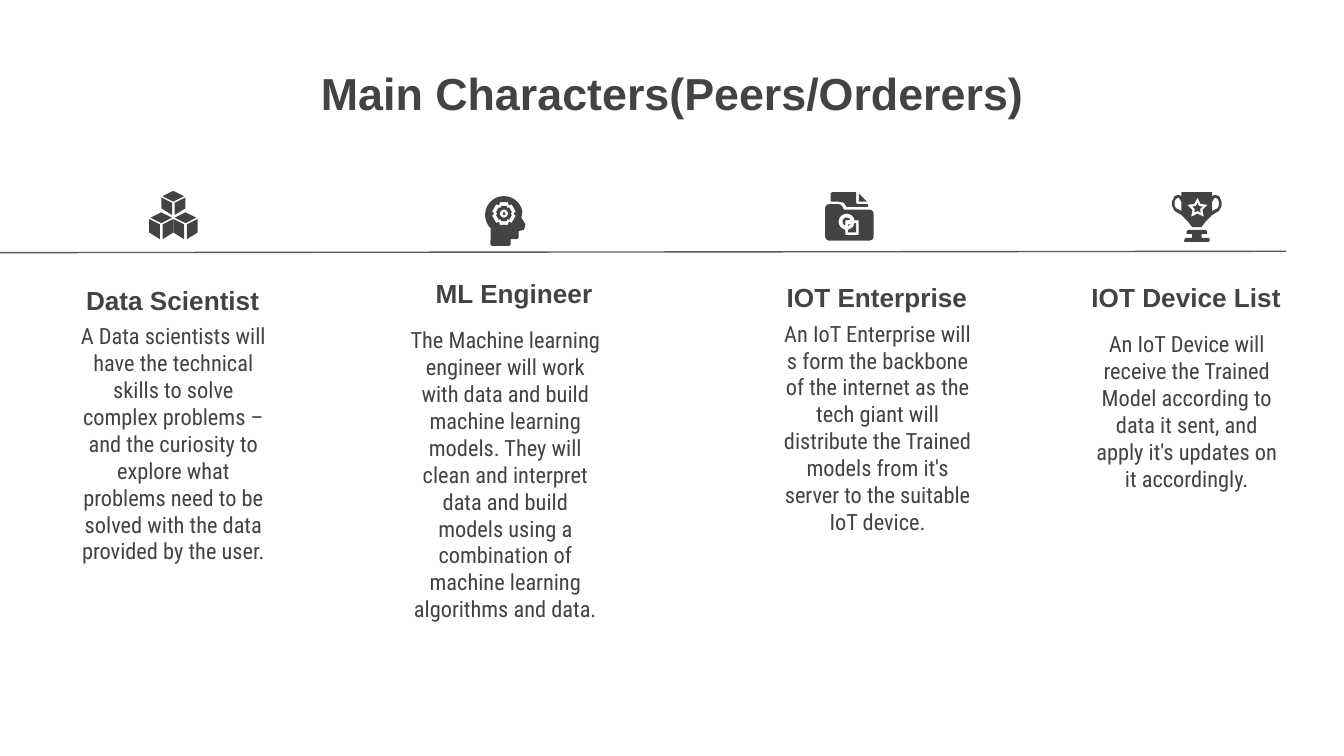
from math import cos, radians, sin

from pptx import Presentation
from pptx.dml.color import RGBColor
from pptx.enum.shapes import MSO_CONNECTOR
from pptx.enum.text import MSO_ANCHOR, PP_ALIGN
from pptx.oxml.ns import qn
from pptx.util import Inches, Pt
from lxml import etree

TOP, BOTTOM = MSO_ANCHOR.TOP, MSO_ANCHOR.BOTTOM
CENTER = PP_ALIGN.CENTER
STRAIGHT = MSO_CONNECTOR.STRAIGHT
DARK, GRAY = "434343", "595959"


def color(code):
    """Turn a hex string into a colour."""
    return RGBColor.from_string(code)


def write(shape, text, size, font, bold, anchor):
    """Fill a shape with one centred paragraph."""
    frame = shape.text_frame
    frame.word_wrap = True
    frame.vertical_anchor = anchor
    frame.margin_left = frame.margin_right = Inches(0.1)
    frame.margin_top = frame.margin_bottom = Inches(0.1)
    para = frame.paragraphs[0]
    para.text = text
    para.alignment = CENTER
    para.font.size = Pt(size)
    para.font.name = font
    para.font.bold = bold
    para.font.color.rgb = color(DARK)


def place_title(slide, text, left, top, width, height):
    """Move and format the title placeholder."""
    title = slide.shapes.title
    title.left, title.top = Inches(left), Inches(top)
    title.width, title.height = Inches(width), Inches(height)
    write(title, text, 24, "Arial", True, TOP)


def add_text(slide, box, *style):
    """Add a text box at left, top, width, height."""
    shape = slide.shapes.add_textbox(*map(Inches, box))
    write(shape, *style)


def add_rule(slide, start, end):
    """Draw the thin line under the icons."""
    line = slide.shapes.add_connector(STRAIGHT, *map(Inches, start + end))
    line.line.color.rgb = color(GRAY)
    line.line.width = Pt(0.75)
    etree.SubElement(line._element.spPr, qn("a:effectLst"))


def arc(x, y, r, start=0, end=360, steps=24):
    """List points along an arc, with angles in degrees clockwise."""
    turns = [radians(start + (end - start) * i / steps) for i in range(steps + 1)]
    return [(x + r * cos(t), y + r * sin(t)) for t in turns]


def round_box(x, y, w, h, r):
    """List the points of a box with round corners."""
    right, low = x + w - r, y + h - r
    corners = [(x + r, y + r), (right, y + r), (right, low), (x + r, low)]
    return [p for i, (a, b) in enumerate(corners)
            for p in arc(a, b, r, 180 + 90 * i, 270 + 90 * i, 5)]


def wheel(x, y, count, spokes):
    """Repeat pairs of angle and radius around a centre."""
    return [arc(x, y, r, 360 * i / count - 90 + turn, 0, 1)[0]
            for i in range(count) for turn, r in spokes]


def gear(x, y, r):
    """List the points of a gear with six teeth."""
    return wheel(x, y, 6, [(-20, r), (20, r), (26, r * 0.85), (34, r * 0.85)])


def star(x, y, r):
    """List the points of a star with five tips."""
    return wheel(x, y, 5, [(0, r), (36, r * 0.5)])


def cubes():
    """Outline three stacked cubes."""
    parts = []
    for x, y, tall in [(0.18, 0, 0.08), (0.09, 0.16, 0.1), (0.27, 0.16, 0.1)]:
        parts.append([[(x, y), (x + 0.08, y + 0.04), (x, y + 0.08), (x - 0.08, y + 0.04)]])
        for side in (-1, 1):
            near, far = x + side * 0.01, x + side * 0.09
            parts.append([[(far, y + 0.05), (far, y + 0.05 + tall),
                           (near, y + 0.1 + tall), (near, y + 0.09)]])
    return parts


def head():
    """Outline a head with a gear inside."""
    face = arc(0.14, 0.14, 0.14, 135, 350) + [
        (0.27, 0.16), (0.3, 0.21), (0.29, 0.25), (0.25, 0.26), (0.25, 0.31),
        (0.24, 0.32), (0.19, 0.32), (0.19, 0.36), (0.18, 0.37), (0.05, 0.37),
        (0.04, 0.36)]
    return [[face, gear(0.14, 0.13, 0.09)],
            [gear(0.14, 0.13, 0.06), arc(0.14, 0.13, 0.03)],
            [arc(0.14, 0.13, 0.01)]]


def folder():
    """Outline a folder with a paper and two joined shapes."""
    fold = [(0.25, 0.01), (0.25, 0.07), (0.31, 0.07)]
    paper = [(0.05, 0), (0.23, 0), (0.23, 0.08), (0.24, 0.09), (0.32, 0.09),
             (0.32, 0.11), (0.16, 0.11), (0.14, 0.08), (0.1, 0.07), (0.04, 0.07),
             (0.04, 0.01)]
    body = (arc(0.03, 0.12, 0.03, 180, 270, 5) + arc(0.1, 0.12, 0.03, 270, 330, 5)
            + [(0.14, 0.13)] + arc(0.33, 0.16, 0.03, 270, 360, 5)
            + arc(0.33, 0.33, 0.03, 0, 90, 5) + arc(0.03, 0.33, 0.03, 90, 180, 5))
    hole = arc(0.16, 0.22, 0.06, 100, 350) + [(0.25, 0.21), (0.25, 0.32), (0.15, 0.32)]
    ring = arc(0.16, 0.22, 0.03, 110, 330) + [(0.15, 0.21)]
    square = [(0.21, 0.23), (0.23, 0.23), (0.23, 0.3), (0.17, 0.3)]
    square += arc(0.16, 0.22, 0.06, 80, 10, 8)
    lens = [(0.17, 0.24), (0.19, 0.24), (0.17, 0.25)]
    return [[fold], [paper], [body, hole], [ring], [square], [lens]]


def trophy():
    """Outline a cup with two handles, a star and a foot."""
    half = [(0.07, 0), (0.07, 0.03), (0.05, 0.02), (0.02, 0.03), (0, 0.07),
            (0, 0.1), (0.02, 0.14), (0.07, 0.17), (0.12, 0.22), (0.15, 0.26)]
    grip = [(0.05, 0.04), (0.07, 0.07), (0.07, 0.14), (0.03, 0.12), (0.02, 0.1),
            (0.02, 0.07), (0.03, 0.05)]

    def flip(points):
        """Mirror points about the middle of the cup."""
        return [(0.37 - x, y) for x, y in points]

    cup = half + flip(half)[::-1]
    foot = [(0.11, 0.31), (0.11, 0.29), (0.12, 0.28), (0.25, 0.28), (0.26, 0.29),
            (0.26, 0.31), (0.22, 0.31), (0.22, 0.34)]
    foot += round_box(0.09, 0.34, 0.19, 0.03, 0.01)[6:] + [(0.1, 0.34), (0.15, 0.34), (0.15, 0.31)]
    return [[cup, grip, flip(grip), star(0.19, 0.12, 0.08)],
            [foot],
            [star(0.19, 0.12, 0.04)]]


def add_icon(slide, parts, left, top):
    """Draw an icon as a group of filled outlines."""
    group = slide.shapes.add_group_shape()
    for loops in parts:
        loops = [[(Inches(x), Inches(y)) for x, y in loop] for loop in loops]
        pen = group.shapes.build_freeform(*loops[0][0])
        for i, loop in enumerate(loops):
            if i:
                pen.move_to(*loop[0])
            pen.add_line_segments(loop[1:], close=True)
        shape = pen.convert_to_shape(Inches(left), Inches(top))
        shape.shadow.inherit = False
        shape.fill.solid()
        shape.fill.fore_color.rgb = color(DARK)
        shape.line.fill.background()


def add_role(slide, left, top, name, text, shift, drop):
    """Add a role's heading, with its description below."""
    add_text(slide, (left, top, 1.95, 0.47), name, 14, "Arial", True, BOTTOM)
    add_text(slide, (left + shift, top + drop, 1.62, 1.1),
             text, 12, "Roboto Condensed", False, TOP)


ROLES = [
    (0.31, 1.98, "Data Scientist", "A Data scientists will have the technical skills to solve complex problems – and the curiosity to explore what problems need to be solved with the data provided by the user.", 0.17, 0.32),
    (2.85, 1.93, "ML Engineer", "The Machine learning engineer will work with data and build machine learning models. They will clean and interpret data and build models using a combination of machine learning algorithms and data.", 0.1, 0.4),
    (5.55, 1.96, "IOT Enterprise", "An IoT Enterprise will s form the backbone of the internet as the tech giant will distribute the Trained models from it's server to the suitable IoT device.", 0.17, 0.32),
    (7.85, 1.96, "IOT Device List", "An IoT Device will receive the Trained Model according to data it sent, and apply it's updates on it accordingly.", 0.17, 0.4),
]
ICONS = [(head(), 3.61, 1.46), (cubes(), 1.11, 1.42),
         (folder(), 6.14, 1.43), (trophy(), 8.72, 1.43)]


def main():
    """Build and save the slide."""
    deck = Presentation()
    deck.slide_width, deck.slide_height = Inches(10), Inches(10 * 9 / 16)
    slide = deck.slides.add_slide(deck.slide_layouts[5])
    place_title(slide, "Main Characters(Peers/Orderers)", 2.15, 0.39, 5.7, 1.03)
    for role in ROLES:
        add_role(slide, *role)
    add_rule(slide, (9.57, 1.87), (-0.05, 1.88))
    for icon in ICONS:
        add_icon(slide, *icon)
    deck.save("out.pptx")


if __name__ == "__main__":
    main()
